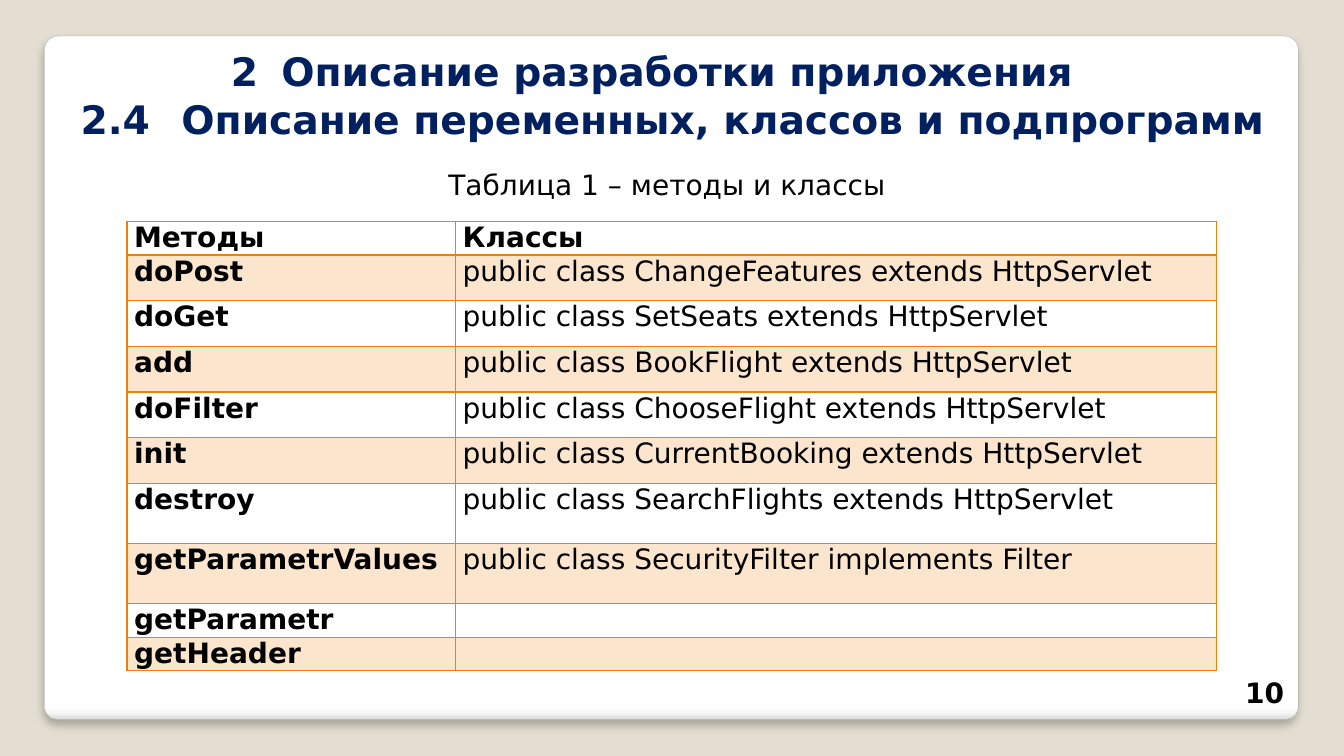
from dataclasses import dataclass

from lxml import etree
from pptx import Presentation
from pptx.dml.color import RGBColor
from pptx.enum.shapes import MSO_SHAPE
from pptx.enum.text import MSO_ANCHOR, PP_ALIGN
from pptx.oxml import parse_xml
from pptx.oxml.ns import qn
from pptx.util import Cm, Length, Pt

CENTER, RIGHT, JUSTIFY, LEFT = PP_ALIGN.CENTER, PP_ALIGN.RIGHT, PP_ALIGN.JUSTIFY, PP_ALIGN.LEFT
TOP, MIDDLE, BOTTOM = MSO_ANCHOR.TOP, MSO_ANCHOR.MIDDLE, MSO_ANCHOR.BOTTOM
ROUNDED = MSO_SHAPE.ROUNDED_RECTANGLE
TITLE_ONLY = 5
FONT = "DejaVu Sans"
BEIGE, WHITE, GREY, BLACK, NAVY, ORANGE = "E3DED1", "FFFFFF", "A4A4A4", "000000", "002060", "F07F09"
NAMESPACE = 'xmlns:a="http://schemas.openxmlformats.org/drawingml/2006/main"'
PANEL_STOPS = ((0, WHITE), (98, WHITE), (99, "F7F7F7"), (100, "DADADA"))
LOW, NORMAL, HIGH = Cm(0.84), Cm(1.15), Cm(1.52)


@dataclass
class MethodRow:
    """One row of the table of methods and classes."""
    method: str
    class_text: str
    height: Length = NORMAL


@dataclass
class Label:
    """A single-line text box."""
    text: str
    left: float
    top: float
    width: float
    height: float
    align: PP_ALIGN
    anchor: MSO_ANCHOR
    bold: bool = False


ROWS = (
    MethodRow("Методы", "Классы", LOW),
    MethodRow("doPost", "public class ChangeFeatures extends HttpServlet"),
    MethodRow("doGet", "public class SetSeats extends HttpServlet"),
    MethodRow("add", "public class BookFlight extends HttpServlet"),
    MethodRow("doFilter", "public class ChooseFlight extends HttpServlet"),
    MethodRow("init", "public class CurrentBooking extends HttpServlet"),
    MethodRow("destroy", "public class SearchFlights extends HttpServlet", HIGH),
    MethodRow("getParametrValues", "public class SecurityFilter implements Filter", HIGH),
    MethodRow("getParametr", "", LOW),
    MethodRow("getHeader", "", LOW),
)
LABELS = (
    Label("10", 30.91, 16.97, 1.7, 1.02, RIGHT, BOTTOM, True),
    Label("Таблица 1 – методы и классы", 11.05, 4.09, 11.76, 1.12, LEFT, TOP),
)


def color(value: str) -> RGBColor:
    """Turn a hex string into a colour."""
    return RGBColor.from_string(value)


def add_run(paragraph, text: str, size: int, value: str = BLACK, bold: bool = False) -> None:
    """Add one formatted run to a paragraph."""
    run = paragraph.add_run()
    run.text = text
    run.font.name = FONT
    run.font.size = Pt(size)
    run.font.bold = bold
    run.font.color.rgb = color(value)


def add_panel(slide) -> None:
    """Draw the white rounded panel behind the title."""
    panel = slide.shapes.add_shape(ROUNDED, Cm(1.12), Cm(0.91), Cm(31.6), Cm(17.22))
    panel.adjustments[0] = 0.02
    panel.line.color.rgb = color(GREY)
    panel.line.width = Pt(0.16)
    stops = "".join(f'<a:gs pos="{position * 1000}"><a:srgbClr val="{value}"/></a:gs>'
                    for position, value in PANEL_STOPS)
    properties = panel.element.spPr
    properties.find(qn("a:prstGeom")).addnext(parse_xml(
        f'<a:gradFill {NAMESPACE} rotWithShape="1"><a:gsLst>{stops}</a:gsLst>'
        '<a:lin ang="5400000" scaled="0"/></a:gradFill>'))
    properties.append(parse_xml(
        f'<a:effectLst {NAMESPACE}><a:outerShdw blurRad="{Pt(6)}" dist="{Pt(4)}" dir="5400000" '
        f'algn="t" rotWithShape="0"><a:srgbClr val="{BLACK}"><a:alpha val="25000"/>'
        '</a:srgbClr></a:outerShdw></a:effectLst>'))
    slide.shapes.title.element.addprevious(panel.element)


def fill_title(title) -> None:
    """Place the title and write its two numbered lines."""
    title.left, title.top, title.width, title.height = Cm(1.45), Cm(1.07), Cm(30.99), Cm(2.64)
    frame = title.text_frame
    frame.word_wrap = True
    frame.vertical_anchor = MIDDLE
    lines = (("2\tОписание разработки приложения", Cm(1.04)),
             ("2.4\tОписание переменных, классов и подпрограмм", Cm(0)))
    for index, (text, right_margin) in enumerate(lines):
        paragraph = frame.add_paragraph() if index else frame.paragraphs[0]
        paragraph.alignment = CENTER
        paragraph.line_spacing = 1.0
        add_run(paragraph, text, 28, NAVY, True)
        properties = paragraph._p.get_or_add_pPr()
        properties.set("marR", str(right_margin))
        properties.append(parse_xml(
            f'<a:tabLst {NAMESPACE}><a:tab pos="{Cm(1.27)}" algn="l"/>'
            f'<a:tab pos="{Cm(2.54)}" algn="l"/></a:tabLst>'))


def add_label(slide, label: Label) -> None:
    """Add a text box with one line."""
    box = slide.shapes.add_textbox(Cm(label.left), Cm(label.top), Cm(label.width), Cm(label.height))
    frame = box.text_frame
    frame.word_wrap = True
    frame.vertical_anchor = label.anchor
    paragraph = frame.paragraphs[0]
    paragraph.alignment = label.align
    add_run(paragraph, label.text, 20, bold=label.bold)


def format_cell(cell, shaded: bool, header: bool) -> None:
    """Set the margins, fill and borders of a cell."""
    cell.margin_left = cell.margin_right = Cm(0.18)
    cell.margin_top = cell.margin_bottom = 0
    properties = cell._tc.get_or_add_tcPr()
    if shaded:
        cell.fill.solid()
        cell.fill.fore_color.rgb = color(ORANGE)
        tint = properties.find(".//" + qn("a:srgbClr"))
        etree.SubElement(tint, qn("a:alpha")).set("val", "20000")
    else:
        cell.fill.background()
    for index, side in enumerate("LRTB"):
        width = Pt(2 if header and side == "B" else 1)
        properties.insert(index, parse_xml(
            f'<a:ln{side} {NAMESPACE} w="{width}"><a:solidFill><a:srgbClr val="{ORANGE}"/>'
            f'</a:solidFill></a:ln{side}>'))


def add_method_table(slide) -> None:
    """Add the table of methods and classes."""
    height = sum(row.height for row in ROWS)
    table = slide.shapes.add_table(len(ROWS), 2, Cm(3.2), Cm(5.59), Cm(27.46), height).table
    table.columns[0].width, table.columns[1].width = Cm(8.28), Cm(19.18)
    table.first_row = table.horz_banding = False
    for row_index, row in enumerate(ROWS):
        table.rows[row_index].height = row.height
        header = row_index == 0
        for column, text in enumerate((row.method, row.class_text)):
            cell = table.cell(row_index, column)
            format_cell(cell, row_index % 2 == 1, header)
            if text:
                paragraph = cell.text_frame.paragraphs[0]
                paragraph.alignment = JUSTIFY
                add_run(paragraph, text, 20, bold=header or column == 0)


def main() -> None:
    """Build and save the slide."""
    presentation = Presentation()
    presentation.slide_width, presentation.slide_height = Cm(33.87), Cm(19.05)
    slide = presentation.slides.add_slide(presentation.slide_layouts[TITLE_ONLY])
    slide.background.fill.solid()
    slide.background.fill.fore_color.rgb = color(BEIGE)
    add_panel(slide)
    fill_title(slide.shapes.title)
    add_method_table(slide)
    for label in LABELS:
        add_label(slide, label)
    presentation.save("out.pptx")


main()
